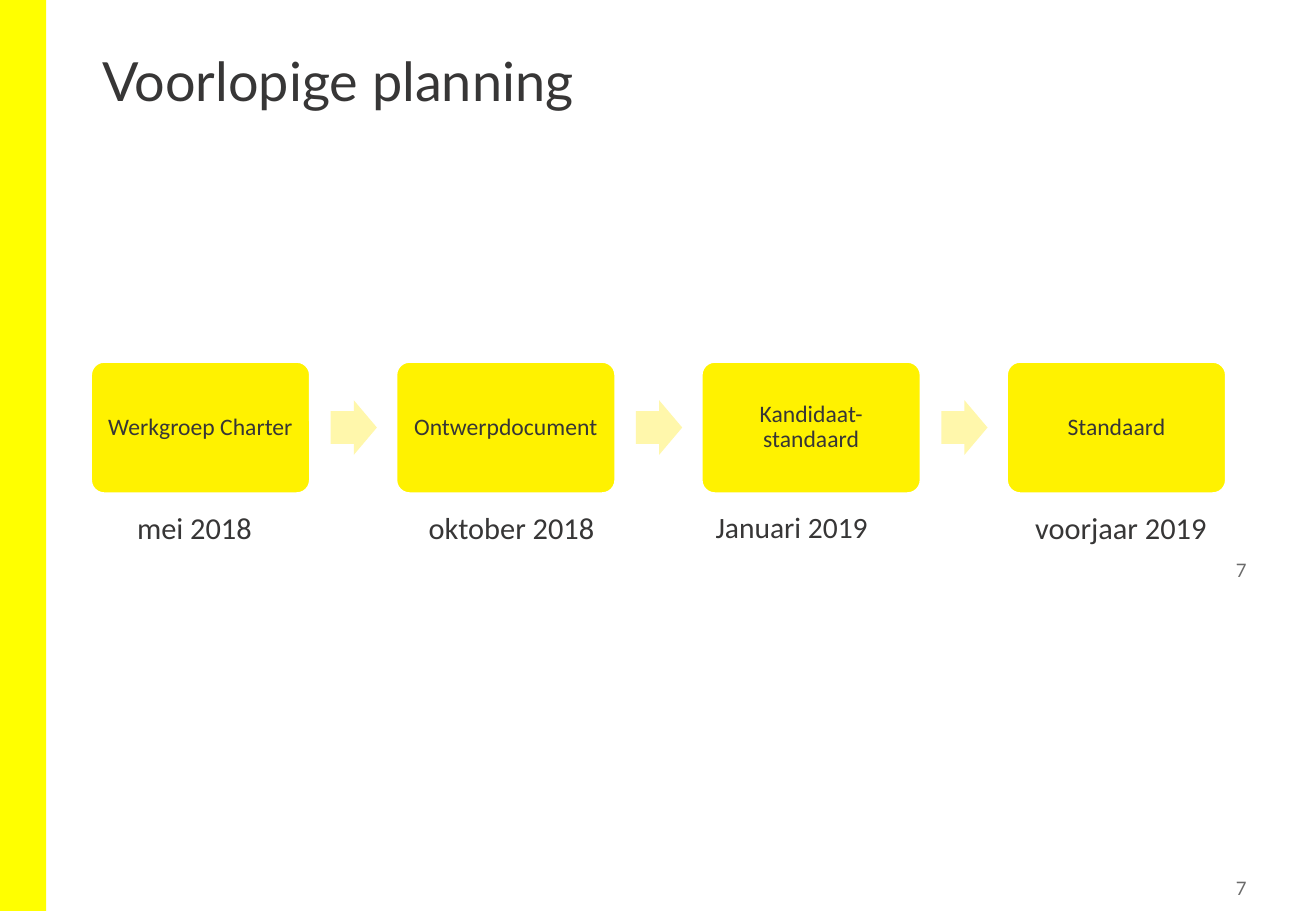
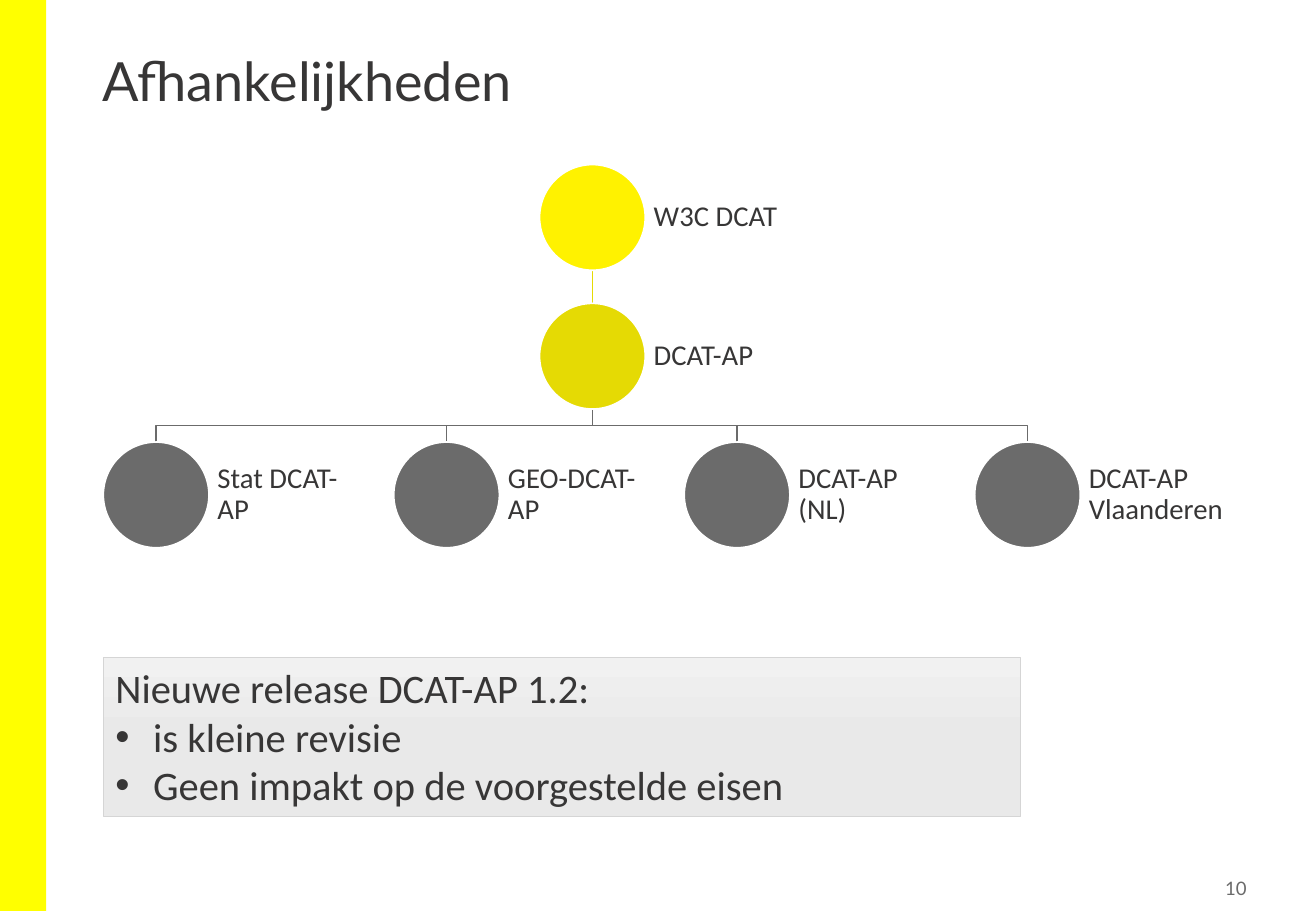
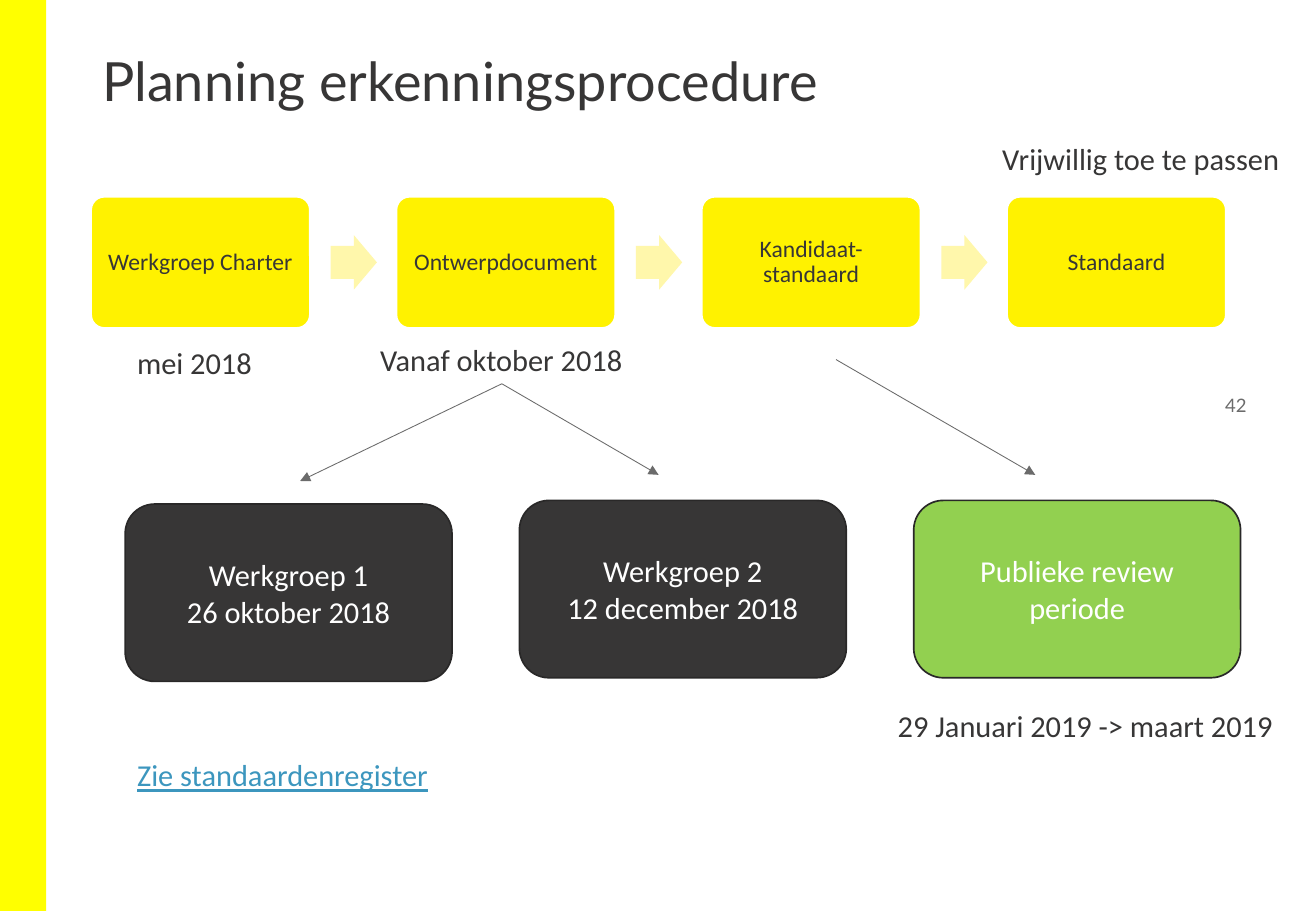
import copy
import dataclasses
import typing

import lxml.etree
import pptx
import pptx.dml.color
import pptx.dml.fill
import pptx.enum.shapes
import pptx.enum.text
import pptx.oxml.ns
import pptx.presentation
import pptx.shapes.autoshape
import pptx.shapes.connector
import pptx.slide
import pptx.text.text
import pptx.util

SLIDE_WIDTH = pptx.util.Inches(10.83)
SLIDE_HEIGHT = pptx.util.Inches(7.5)
COLORS = {
    "band": "FFFF00",
    "ink": "373636",
    "grey": "6B6B6B",
    "step": "FFF200",
    "step_arrow": "FFF7AB",
    "profile": "E5DA04",
    "white": "FFFFFF",
    "session_edge": "292828",
    "review": "92D050",
    "link": "3C96BE",
    "release_top": "F1F1F1",
    "release_middle": "E9E9E9",
    "release_bottom": "E6E6E6",
    "release_edge": "D5D5D5",
}
TITLE_FONT = "Lato"
BODY_FONT = "Calibri"
SHAPES = pptx.enum.shapes.MSO_SHAPE
ALIGN = pptx.enum.text.PP_ALIGN
ANCHOR = pptx.enum.text.MSO_ANCHOR
AUTO_SIZE = pptx.enum.text.MSO_AUTO_SIZE
STEPS = ("Werkgroep Charter", "Ontwerpdocument", "Kandidaat-standaard", "Standaard")
STEP_LEFT, STEP_PITCH, STEP_WIDTH, STEP_HEIGHT = 6.93, 23.2, 16.62, 14.4
ARROW_OFFSET, ARROW_WIDTH, ARROW_HEIGHT = 18.2, 3.51, 6
CIRCLE_WIDTH, CIRCLE_HEIGHT, NODE_LABEL_WIDTH = 8.03, 11.6, 12
NODE_TOP, NODE_ROW_PITCH = 18.07, 15.23
ROOT_LEFT, LEAF_LEFT, LEAF_PITCH = 41, 7.85, 22.07
CAPTION_HEIGHT = 5.33
SESSION_LEFT, SESSION_PITCH = 9.51, 29.96


def across(percent: float) -> int:
    return round(SLIDE_WIDTH * percent / 100)


def down(percent: float) -> int:
    return round(SLIDE_HEIGHT * percent / 100)


@dataclasses.dataclass(frozen=True)
class Box:
    left: float
    top: float
    width: float
    height: float

    def emu(self) -> tuple[int, int, int, int]:
        return across(self.left), down(self.top), across(self.width), down(self.height)


@dataclasses.dataclass(frozen=True)
class TextStyle:
    size: float
    color: str = "ink"
    font: str = BODY_FONT
    align: typing.Any = ALIGN.LEFT
    spacing: float = 1.0
    underline: bool = False


@dataclasses.dataclass(frozen=True)
class Caption:
    text: str
    left: float
    top: float
    width: float
    size: float = 18
    color: str = "ink"
    underline: bool = False


@dataclasses.dataclass(frozen=True)
class Node:
    label: str
    left: float
    row: int
    color: str

    def circle(self) -> Box:
        top = NODE_TOP + self.row * NODE_ROW_PITCH
        return Box(self.left, top, CIRCLE_WIDTH, CIRCLE_HEIGHT)

    def center(self) -> float:
        return self.left + CIRCLE_WIDTH / 2


@dataclasses.dataclass(frozen=True)
class Session:
    lines: tuple[str, ...]
    top: float
    color: str = "ink"


TITLE_BOX = Box(6.83, 5.33, 86.24, 14.4)
TITLE_STYLE = TextStyle(32, font=TITLE_FONT, spacing=0.9)
PAGE_STYLE = TextStyle(11, "grey", TITLE_FONT, ALIGN.RIGHT)
STEP_STYLE = TextStyle(14, align=ALIGN.CENTER, spacing=0.9)
NODE_STYLE = TextStyle(17, spacing=0.9)
RELEASE_STYLE = TextStyle(24)
SESSION_STYLE = TextStyle(18, "white", align=ALIGN.CENTER)


def rgb(name: str) -> pptx.dml.color.RGBColor:
    return pptx.dml.color.RGBColor.from_string(COLORS[name])


def write(frame: pptx.text.text.TextFrame, lines: typing.Sequence[str], style: TextStyle) -> None:
    for index, line in enumerate(lines):
        paragraph = frame.paragraphs[0] if index == 0 else frame.add_paragraph()
        paragraph.alignment = style.align
        paragraph.line_spacing = style.spacing
        paragraph.space_before = pptx.util.Pt(0)
        run = paragraph.add_run()
        run.text = line
        run.font.name = style.font
        run.font.size = pptx.util.Pt(style.size)
        run.font.color.rgb = rgb(style.color)
        if style.underline:
            run.font.underline = True


def set_insets(frame: pptx.text.text.TextFrame, inches: float) -> None:
    inset = pptx.util.Inches(inches)
    frame.margin_left = frame.margin_right = inset
    frame.margin_top = frame.margin_bottom = inset


def add_filled(
    slide: pptx.slide.Slide, kind: SHAPES, box: Box, color: str, edge: str | None = None
) -> pptx.shapes.autoshape.Shape:
    shape = slide.shapes.add_shape(kind, *box.emu())
    shape.shadow.inherit = False
    shape.fill.solid()
    shape.fill.fore_color.rgb = rgb(color)
    if edge is None:
        shape.line.fill.background()
    else:
        shape.line.color.rgb = rgb(edge)
        shape.line.width = pptx.util.Pt(1)
    return shape


def add_text(
    slide: pptx.slide.Slide, text: str, box: Box, style: TextStyle, inset: float
) -> None:
    frame = slide.shapes.add_textbox(*box.emu()).text_frame
    frame.word_wrap = True
    frame.vertical_anchor = ANCHOR.MIDDLE
    set_insets(frame, inset)
    write(frame, [text], style)


def add_caption(slide: pptx.slide.Slide, caption: Caption) -> pptx.shapes.autoshape.Shape:
    box = Box(caption.left, caption.top, caption.width, CAPTION_HEIGHT)
    label = slide.shapes.add_textbox(*box.emu())
    label.text_frame.word_wrap = False
    label.text_frame.auto_size = AUTO_SIZE.SHAPE_TO_FIT_TEXT
    style = TextStyle(caption.size, caption.color, underline=caption.underline)
    write(label.text_frame, [caption.text], style)
    return label


def add_line(
    slide: pptx.slide.Slide,
    start: tuple[float, float],
    end: tuple[float, float],
    color: str,
    width: float,
    arrow: bool = False,
) -> pptx.shapes.connector.Connector:
    line = slide.shapes.add_connector(
        pptx.enum.shapes.MSO_CONNECTOR.STRAIGHT,
        across(start[0]), down(start[1]), across(end[0]), down(end[1]),
    )
    line.line.color.rgb = rgb(color)
    line.line.width = pptx.util.Pt(width)
    if arrow:
        outline = line.element.find(".//" + pptx.oxml.ns.qn("a:ln"))
        lxml.etree.SubElement(outline, pptx.oxml.ns.qn("a:tailEnd"), type="triangle")
    properties = line.element.find(pptx.oxml.ns.qn("p:spPr"))
    lxml.etree.SubElement(properties, pptx.oxml.ns.qn("a:effectLst"))
    return line


def add_slide(
    deck: pptx.presentation.Presentation,
    layout: str,
    title: str,
    page: str,
    page_tops: typing.Sequence[float],
) -> pptx.slide.Slide:
    slide = deck.slides.add_slide(deck.slide_layouts.get_by_name(layout))
    heading = slide.shapes.title
    heading.left, heading.top, heading.width, heading.height = TITLE_BOX.emu()
    heading.text_frame.vertical_anchor = ANCHOR.TOP
    heading.text_frame.auto_size = AUTO_SIZE.NONE
    write(heading.text_frame, [title], TITLE_STYLE)
    for top in page_tops:
        add_text(slide, page, Box(87.72, top, 7.48, 3.87), PAGE_STYLE, 0.05)
    return slide


def move_band_to_master(
    deck: pptx.presentation.Presentation, slide: pptx.slide.Slide
) -> None:
    band = add_filled(slide, SHAPES.RECTANGLE, Box(0, 0, 3.51, 100), "band")
    deck.slide_master.shapes.element.insert(2, band.element)


def draw_steps(slide: pptx.slide.Slide, top: float) -> None:
    for index, name in enumerate(STEPS):
        left = STEP_LEFT + index * STEP_PITCH
        step = add_filled(
            slide, SHAPES.ROUNDED_RECTANGLE,
            Box(left, top, STEP_WIDTH, STEP_HEIGHT), "step", "white",
        )
        step.adjustments[0] = 0.1
        step.text_frame.word_wrap = True
        step.text_frame.vertical_anchor = ANCHOR.MIDDLE
        set_insets(step.text_frame, 0.06)
        write(step.text_frame, [name], STEP_STYLE)
        if index < len(STEPS) - 1:
            arrow_top = top + (STEP_HEIGHT - ARROW_HEIGHT) / 2
            arrow = add_filled(
                slide, SHAPES.RIGHT_ARROW,
                Box(left + ARROW_OFFSET, arrow_top, ARROW_WIDTH, ARROW_HEIGHT), "step_arrow",
            )
            arrow.adjustments[0] = 0.6
            arrow.adjustments[1] = 0.5


def draw_branch(slide: pptx.slide.Slide, parent: Node, child: Node) -> None:
    start = parent.circle().top + CIRCLE_HEIGHT
    end = child.circle().top
    bend = (start + end) / 2
    builder = slide.shapes.build_freeform(across(parent.center()), down(start))
    corners = ((parent.center(), bend), (child.center(), bend), (child.center(), end))
    builder.add_line_segments([(across(x), down(y)) for x, y in corners], close=False)
    branch = builder.convert_to_shape()
    branch.shadow.inherit = False
    branch.fill.background()
    branch.line.color.rgb = rgb("grey")
    branch.line.width = pptx.util.Pt(1)


def draw_node(slide: pptx.slide.Slide, node: Node) -> None:
    circle = node.circle()
    add_filled(slide, SHAPES.OVAL, circle, node.color, "white")
    label_box = Box(circle.left + CIRCLE_WIDTH, circle.top, NODE_LABEL_WIDTH, CIRCLE_HEIGHT)
    add_text(slide, node.label, label_box, NODE_STYLE, 0.07)


def fill_release_gradient(fill: pptx.dml.fill.FillFormat, element: typing.Any) -> None:
    fill.gradient()
    fill.gradient_angle = 270
    stop_list = element.find(".//" + pptx.oxml.ns.qn("a:gsLst"))
    stop_list.append(copy.deepcopy(stop_list[-1]))
    shades = ("release_top", "release_middle", "release_bottom")
    for index, (stop, shade) in enumerate(zip(fill.gradient_stops, shades)):
        stop.position = index / 2
        stop.color.rgb = rgb(shade)


def draw_release(slide: pptx.slide.Slide) -> None:
    release = slide.placeholders[1]
    box = Box(LEAF_LEFT, 72.13, 69.71, 17.47)
    release.left, release.top, release.width, release.height = box.emu()
    fill_release_gradient(release.fill, release.element)
    release.line.color.rgb = rgb("release_edge")
    release.line.width = pptx.util.Pt(0.5)
    frame = release.text_frame
    frame.auto_size = AUTO_SIZE.NONE
    frame.vertical_anchor = ANCHOR.TOP
    lines = (
        "Nieuwe release DCAT-AP 1.2:",
        "is kleine revisie",
        "Geen impakt op de voorgestelde eisen",
    )
    write(frame, lines, RELEASE_STYLE)
    for index, paragraph in enumerate(frame.paragraphs):
        properties = paragraph.runs[0].font and paragraph._p.get_or_add_pPr()
        indent = pptx.util.Inches(0.31) if index else 0
        properties.set("marL", str(indent))
        properties.set("indent", str(-indent))
        if index:
            lxml.etree.SubElement(properties, pptx.oxml.ns.qn("a:buFont"), typeface="Arial")
            lxml.etree.SubElement(properties, pptx.oxml.ns.qn("a:buChar"), char="•")
        else:
            lxml.etree.SubElement(properties, pptx.oxml.ns.qn("a:buNone"))


def build_provisional_planning(deck: pptx.presentation.Presentation) -> None:
    slide = add_slide(deck, "Title Only", "Voorlopige planning", "7", (95.6, 60.67))
    move_band_to_master(deck, slide)
    draw_steps(slide, 39.73)
    for caption in (
        Caption("mei 2018", 9.51, 55.2, 10.71),
        Caption("oktober 2018", 31.67, 55.2, 14.59),
        Caption("Januari 2019", 53.46, 55.2, 13.57, 17.5),
        Caption("voorjaar 2019", 77.75, 55.2, 15.05),
    ):
        add_caption(slide, caption)


def build_dependencies(deck: pptx.presentation.Presentation) -> None:
    slide = add_slide(deck, "Title and Content", "Afhankelijkheden", "10", (95.6,))
    standard = Node("W3C DCAT", ROOT_LEFT, 0, "step")
    profile = Node("DCAT-AP", ROOT_LEFT, 1, "profile")
    names = ("Stat DCAT-AP", "GEO-DCAT-AP", "DCAT-AP (NL)", "DCAT-AP Vlaanderen")
    extensions = [
        Node(name, LEAF_LEFT + index * LEAF_PITCH, 2, "grey")
        for index, name in enumerate(names)
    ]
    for extension in extensions:
        draw_branch(slide, profile, extension)
    add_line(
        slide,
        (standard.center(), standard.circle().top + CIRCLE_HEIGHT),
        (profile.center(), profile.circle().top),
        "profile", 1,
    )
    for node in (standard, profile, *extensions):
        draw_node(slide, node)
    draw_release(slide)


def build_recognition_planning(deck: pptx.presentation.Presentation) -> None:
    slide = add_slide(deck, "Title Only", "Planning erkenningsprocedure", "42", (42.53,))
    draw_steps(slide, 21.6)
    for caption in (
        Caption("mei 2018", 9.51, 37.07, 10.71),
        Caption("Zie standaardenregister", 9.51, 82.4, 24.19, color="link", underline=True),
        Caption("Vrijwillig toe te passen", 75.25, 14.67, 23.18),
        Caption("29 Januari 2019 -> maart 2019", 67.31, 76.93, 30.66),
    ):
        add_caption(slide, caption)
    start_date = add_caption(slide, Caption("Vanaf oktober 2018", 27.98, 36.8, 20.31))
    for end in ((22.81, 52.8), (50.05, 52.13)):
        arrow = add_line(slide, (38.14, 42.13), end, "grey", 0.5, arrow=True)
        arrow.begin_connect(start_date, 2)
    add_line(slide, (63.53, 39.47), (78.67, 52.13), "grey", 0.5, arrow=True)
    sessions = (
        Session(("Werkgroep 1", "26 oktober 2018"), 55.33),
        Session(("Werkgroep 2", "12 december 2018"), 54.93),
        Session(("Publieke review periode",), 54.93, "review"),
    )
    for index, session in enumerate(sessions):
        box = Box(SESSION_LEFT + index * SESSION_PITCH, session.top, 24.84, 19.47)
        card = add_filled(slide, SHAPES.ROUNDED_RECTANGLE, box, session.color, "session_edge")
        card.text_frame.word_wrap = True
        card.text_frame.vertical_anchor = ANCHOR.MIDDLE
        write(card.text_frame, session.lines, SESSION_STYLE)


def main() -> None:
    deck = pptx.Presentation()
    deck.slide_width = SLIDE_WIDTH
    deck.slide_height = SLIDE_HEIGHT
    build_provisional_planning(deck)
    build_dependencies(deck)
    build_recognition_planning(deck)
    deck.save("out.pptx")


if __name__ == "__main__":
    main()
